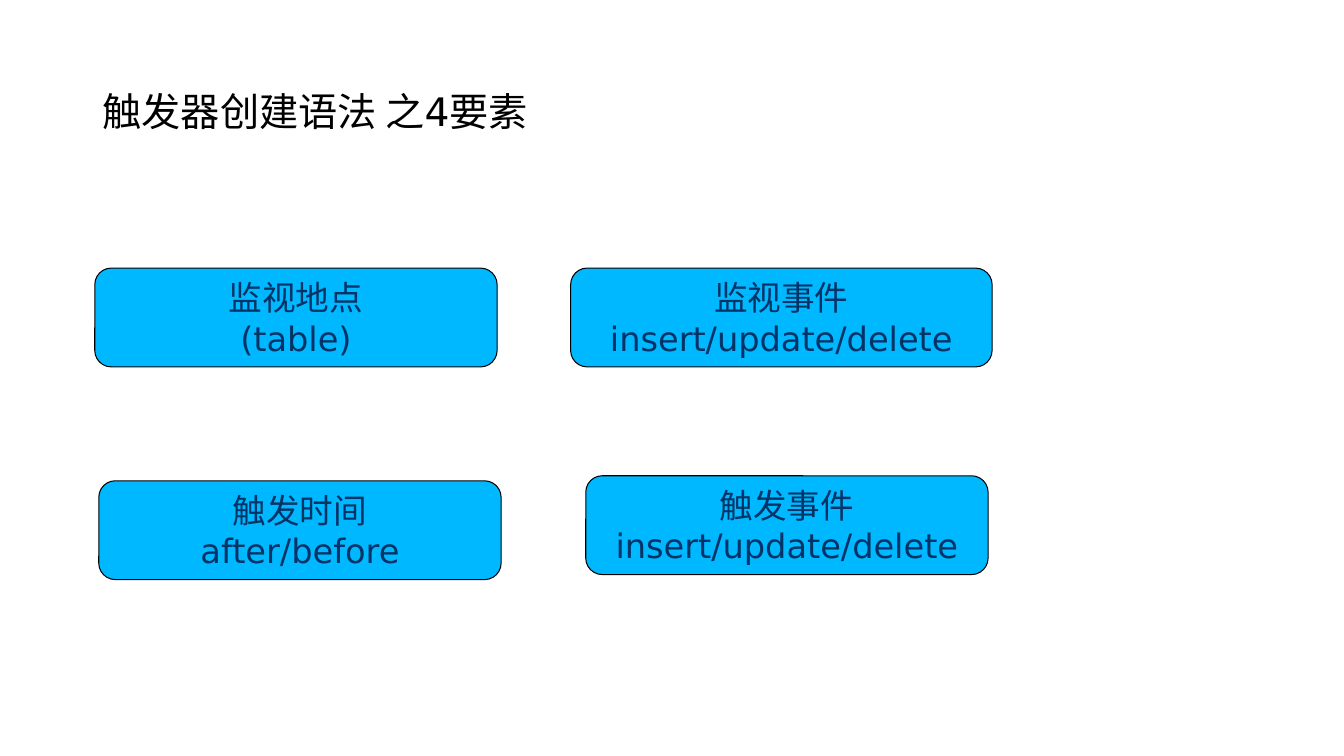
from dataclasses import dataclass
from typing import Any

from pptx import Presentation
from pptx.dml.color import RGBColor
from pptx.enum.shapes import MSO_SHAPE
from pptx.enum.text import MSO_ANCHOR, PP_ALIGN
from pptx.slide import Slide
from pptx.text.text import TextFrame
from pptx.util import Inches, Pt


@dataclass(frozen=True)
class Theme:
    font: str = "DejaVu Sans"
    ink: RGBColor = RGBColor(0, 0, 0)
    fill: RGBColor = RGBColor(0x00, 0xB8, 0xFF)
    label: RGBColor = RGBColor(0x00, 0x33, 0x66)
    head: Pt = Pt(28)
    body: Pt = Pt(24)
    edge: Pt = Pt(0.75)


@dataclass(frozen=True)
class Card:
    name: str
    value: str
    left: float
    top: float
    width: float = 3.99
    height: float = 0.98


THEME = Theme()
CARDS = [
    Card("监视地点", "(table)", 0.94, 2.66),
    Card("监视事件", "insert/update/delete", 5.66, 2.66, width=4.18),
    Card("触发时间", "after/before", 0.98, 4.77),
    Card("触发事件", "insert/update/delete", 5.81, 4.72),
]


def style(item: Any, form: dict[str, Any]) -> None:
    for key, value in form.items():
        setattr(item, key, value)


def write(frame: TextFrame, lines: list[str], wrap: bool,
          para: dict[str, Any], font: dict[str, Any]) -> None:
    style(frame, {"word_wrap": wrap, "vertical_anchor": MSO_ANCHOR.MIDDLE})
    frame.text = "\n".join(lines)
    for line in frame.paragraphs:
        style(line, para)
        for run in line.runs:
            style(run.font, {"name": THEME.font, "size": font["size"]})
            run.font.color.rgb = font["color"]


def add_title(slide: Slide, text: str) -> None:
    box = slide.shapes.add_textbox(
        Inches(0.92), Inches(0.4), Inches(11.5), Inches(1.45))
    write(box.text_frame, [text], True, {"line_spacing": 0.9},
          {"size": THEME.head, "color": THEME.ink})


def add_card(slide: Slide, card: Card) -> None:
    shape = slide.shapes.add_shape(
        MSO_SHAPE.ROUNDED_RECTANGLE, Inches(card.left), Inches(card.top),
        Inches(card.width), Inches(card.height))
    shape.shadow.inherit = False
    shape.fill.solid()
    shape.fill.fore_color.rgb = THEME.fill
    shape.line.color.rgb = THEME.ink
    shape.line.width = THEME.edge
    write(shape.text_frame, [card.name, card.value], False,
          {"alignment": PP_ALIGN.CENTER},
          {"size": THEME.body, "color": THEME.label})


def main() -> None:
    deck = Presentation()
    style(deck, {"slide_width": Inches(13.33), "slide_height": Inches(7.5)})
    slide = deck.slides.add_slide(deck.slide_layouts[6])
    add_title(slide, "触发器创建语法 之4要素")
    for card in CARDS:
        add_card(slide, card)
    deck.save("out.pptx")


if __name__ == "__main__":
    main()
